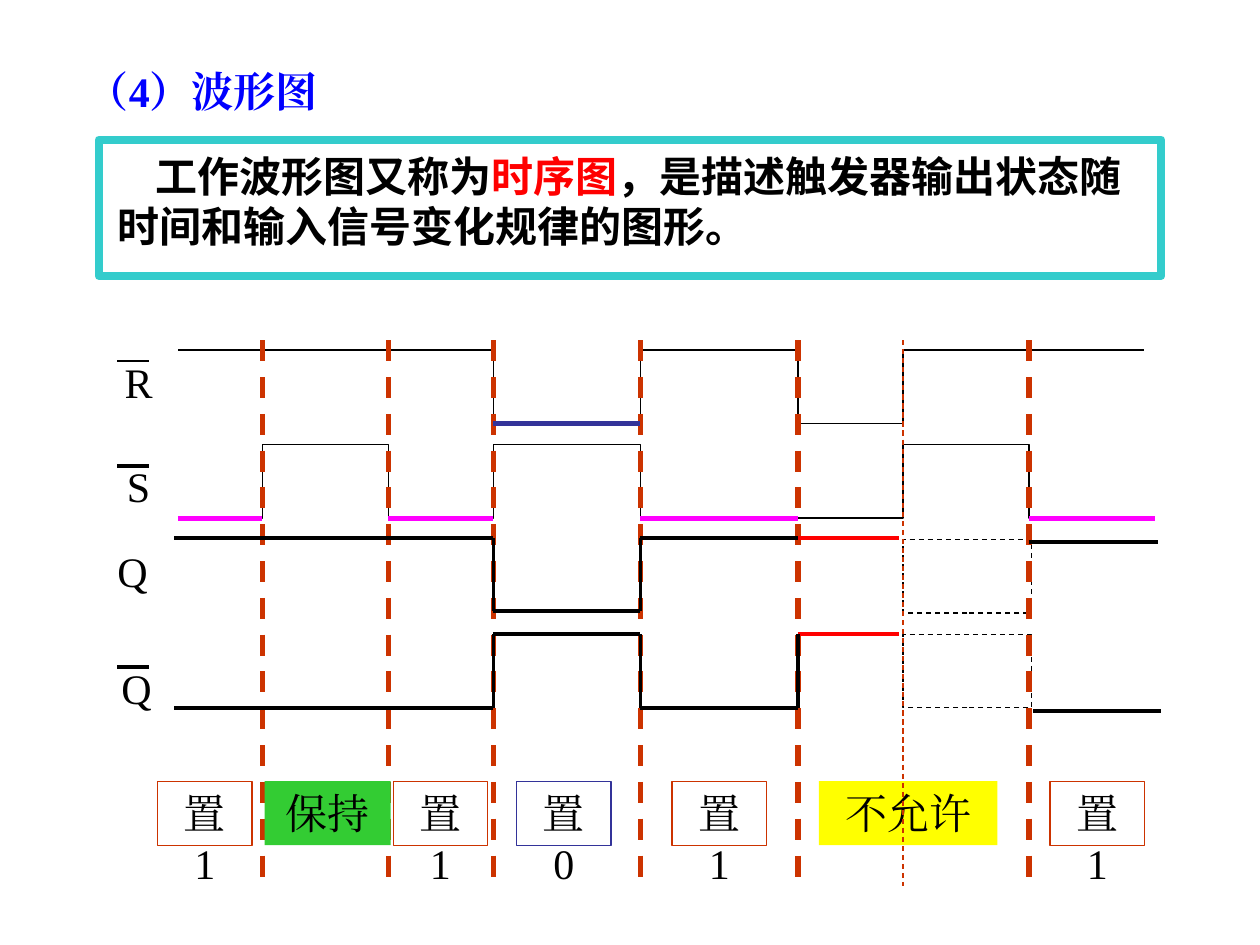
from dataclasses import dataclass
from itertools import pairwise

import lxml.etree
import pptx
import pptx.dml.color
import pptx.enum.dml
import pptx.enum.shapes
import pptx.enum.text
import pptx.oxml.ns
import pptx.util

# The grid has 120 columns and 90 rows, so every cell is a square of 1/12 inch.
COLUMNS = 120
SERIF, SANS = "Times New Roman", "Noto Sans CJK SC"
BLACK, RED, BLUE = "000000", "FF0000", "0000FF"
RUST, NAVY, MAGENTA, TEAL = "CC3300", "333399", "FF00FF", "33CCCC"
GREEN, YELLOW = "33CC33", "FFFF00"
CENTER = pptx.enum.text.PP_ALIGN.CENTER
LEFT = pptx.enum.text.PP_ALIGN.LEFT

EDGES = [17, 25, 37, 47, 61, 76, 86, 98, 110]
FORBIDDEN_END = EDGES[6]
GUIDE_TOP, GUIDE_BOTTOM = 32.4, 84.4
LABEL_TOP, LABEL_HEIGHT = 74.4, 6.1


@dataclass
class Area:
    left: float
    top: float
    width: float
    height: float


@dataclass
class Wave:
    high: float
    low: float
    levels: str
    edges: list[float]

    def row(self, interval: int) -> float:
        return self.high if self.levels[interval] == "1" else self.low


@dataclass
class SignalLabel:
    name: str
    area: Area
    align: pptx.enum.text.PP_ALIGN = CENTER
    bar_row: float | None = None
    bar_weight: float = 2.25


@dataclass
class StateLabel:
    text: str
    left: float
    width: float = 9
    line: str | None = RUST
    fill: str | None = None


R_WAVE = Wave(33.35, 40.35, "11101011", EDGES[:-1] + [109])
S_WAVE = Wave(42.35, 49.35, "01010010", EDGES)
OUTPUT_EDGES = [16.6] + EDGES[1:6] + [85.6]
Q_WAVE = Wave(51.25, 58.2, "111011", OUTPUT_EDGES)
Q_BAR_WAVE = Wave(60.4, 67.45, "000101", OUTPUT_EDGES)

SIGNALS = [
    SignalLabel("R", Area(7.1, 33.4, 12.2, 6), bar_row=34.4, bar_weight=1.5),
    SignalLabel("S", Area(9, 43.3, 8.4, 6), bar_row=44.4),
    SignalLabel("Q", Area(10, 62.5, 6, 6), bar_row=63.5),
    SignalLabel("Q", Area(10, 51.4, 6, 6), align=LEFT),
]
STATES = [
    StateLabel("置1", 15),
    StateLabel("保持", 25.2, 12, line=None, fill=GREEN),
    StateLabel("置1", 37.45),
    StateLabel("置0", 49.2, line=NAVY),
    StateLabel("置1", 64),
    StateLabel("不允许", 78, 17, line=None, fill=YELLOW),
    StateLabel("置1", 100),
]

deck = pptx.Presentation()
deck.slide_width, deck.slide_height = pptx.util.Inches(10), pptx.util.Inches(7.5)
page = deck.slides.add_slide(deck.slide_layouts[6])


def cells(count: float) -> pptx.util.Emu:
    return pptx.util.Emu(round(deck.slide_width * count / COLUMNS))


def color(value: str) -> pptx.dml.color.RGBColor:
    return pptx.dml.color.RGBColor.from_string(value)


def place(area: Area) -> list[pptx.util.Emu]:
    return [cells(n) for n in (area.left, area.top, area.width, area.height)]


def style_line(line, value: str, weight: float, dashed: bool = False) -> None:
    line.color.rgb = color(value)
    line.width = pptx.util.Pt(weight)
    if dashed:
        line.dash_style = pptx.enum.dml.MSO_LINE.DASH


def style_run(run, value: str, font: str = SERIF, bold: bool = False) -> None:
    run.font.size, run.font.bold, run.font.name = pptx.util.Pt(24), bold, font
    run.font.color.rgb = color(value)
    east_asian = lxml.etree.SubElement(run.font._element, pptx.oxml.ns.qn("a:ea"))
    east_asian.set("typeface", font)


def add_line(x1: float, y1: float, x2: float, y2: float, value: str = BLACK,
             weight: float = 2.25, dashed: bool = False) -> None:
    kind = pptx.enum.shapes.MSO_CONNECTOR.STRAIGHT
    line = page.shapes.add_connector(kind, *map(cells, (x1, y1, x2, y2)))
    style_line(line.line, value, weight, dashed)
    lxml.etree.SubElement(line._element.spPr, pptx.oxml.ns.qn("a:effectLst"))


def add_box(area: Area, line: str | None = None, weight: float = 0.75,
            fill: str | None = None, dashed: bool = False):
    box = page.shapes.add_shape(pptx.enum.shapes.MSO_SHAPE.RECTANGLE, *place(area))
    box.shadow.inherit = False
    if fill:
        box.fill.solid()
        box.fill.fore_color.rgb = color(fill)
    else:
        box.fill.background()
    if line:
        style_line(box.line, line, weight, dashed)
    else:
        box.line.fill.background()
    return box


def write(box, text: str, value: str = BLACK, align=CENTER, bold: bool = False) -> None:
    frame = box.text_frame
    frame.text = text
    frame.word_wrap = True
    frame.vertical_anchor = pptx.enum.text.MSO_ANCHOR.TOP
    para = frame.paragraphs[0]
    para.alignment = align
    style_run(para.runs[0], value, bold=bold)


def add_input_wave(wave: Wave) -> None:
    points = [(cells(x), cells(wave.row(i)))
              for i, span in enumerate(pairwise(wave.edges)) for x in span]
    builder = page.shapes.build_freeform(*points[0], scale=1.0)
    builder.add_line_segments(points[1:], close=False)
    outline = builder.convert_to_shape()
    outline.shadow.inherit = False
    outline.fill.background()
    style_line(outline.line, BLACK, 0.75)


def emphasize(wave: Wave, intervals: list[int], value: str) -> None:
    for i in intervals:
        add_line(wave.edges[i], wave.low, wave.edges[i + 1], wave.low, value, 3)


def add_output_wave(wave: Wave) -> None:
    """Draw each level as a line, the last one in red, with a riser at each change."""
    last = len(wave.levels) - 1
    for i, (start, end) in enumerate(pairwise(wave.edges)):
        row = wave.row(i)
        add_line(start, row, end, row, RED if i == last else BLACK)
        if i and wave.row(i - 1) != row:
            add_line(start, wave.high, start, wave.low)


def add_definition() -> None:
    box = page.shapes.add_textbox(*place(Area(10, 13.8, 100.2, 10.9)))
    frame = box.text_frame
    frame.word_wrap = True
    para = frame.paragraphs[0]
    para.line_spacing = pptx.util.Pt(28.6)
    para._p.get_or_add_pPr().set("indent", str(cells(3.6)))
    for text, value in (("工作波形图又称为", BLACK), ("时序图", RED),
                        ("，是描述触发器输出状态随时间和输入信号变化规律的图形。", BLACK)):
        span = para.add_run()
        span.text = text
        style_run(span, value, SANS, bold=True)
    add_box(Area(9.4, 13.3, 101.2, 13), TEAL, 4.5)


title = page.shapes.add_textbox(*place(Area(7.1, 5.65, 57.6, 6)))
write(title, "（4）波形图", BLUE, LEFT, bold=True)
add_definition()

add_input_wave(S_WAVE)
add_input_wave(R_WAVE)
for undefined_top in (51.4, 60.4):
    add_box(Area(FORBIDDEN_END, undefined_top, 12.25, 7), BLACK, dashed=True)

for signal in SIGNALS:
    write(page.shapes.add_textbox(*place(signal.area)), signal.name, align=signal.align)
    if signal.bar_row:
        add_line(11.15, signal.bar_row, 14.15, signal.bar_row, weight=signal.bar_weight)

for edge in EDGES[1:6] + [EDGES[7]]:
    add_line(edge, GUIDE_TOP, edge, GUIDE_BOTTOM, RUST, 3, dashed=True)
emphasize(S_WAVE, [0, 2, 4, 7], MAGENTA)
emphasize(R_WAVE, [3], NAVY)

for state in STATES:
    label = add_box(Area(state.left, LABEL_TOP, state.width, LABEL_HEIGHT),
                    state.line, fill=state.fill)
    write(label, state.text)
    label.text_frame.margin_left = label.text_frame.margin_right = cells(1.7)

add_output_wave(Q_WAVE)
add_output_wave(Q_BAR_WAVE)
add_line(98, 51.6, 110.3, 51.6)
add_line(98.4, 67.7, 110.6, 67.7)
add_line(FORBIDDEN_END, GUIDE_TOP, FORBIDDEN_END, GUIDE_BOTTOM, RUST, 0.75, dashed=True)

deck.save("out.pptx")
